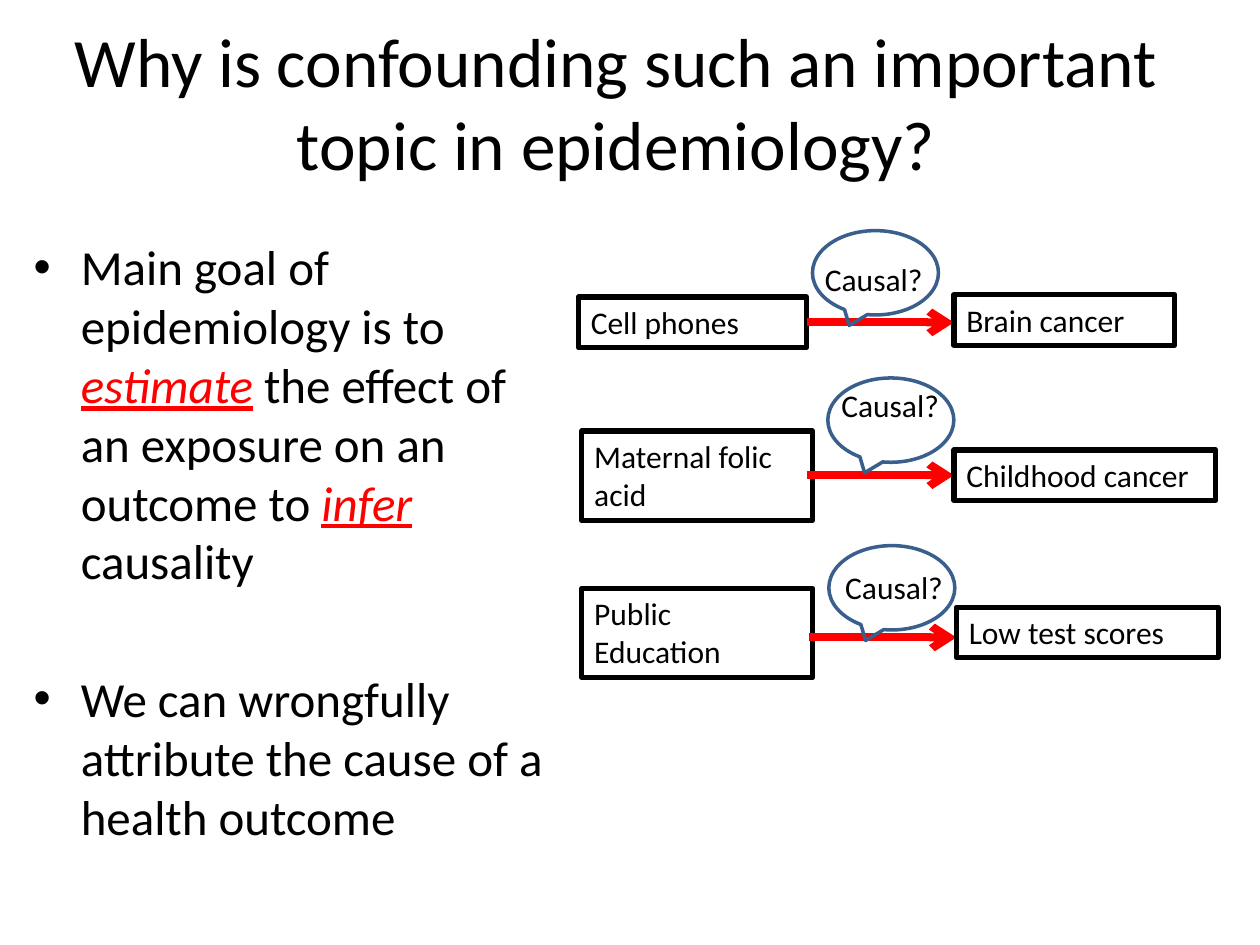
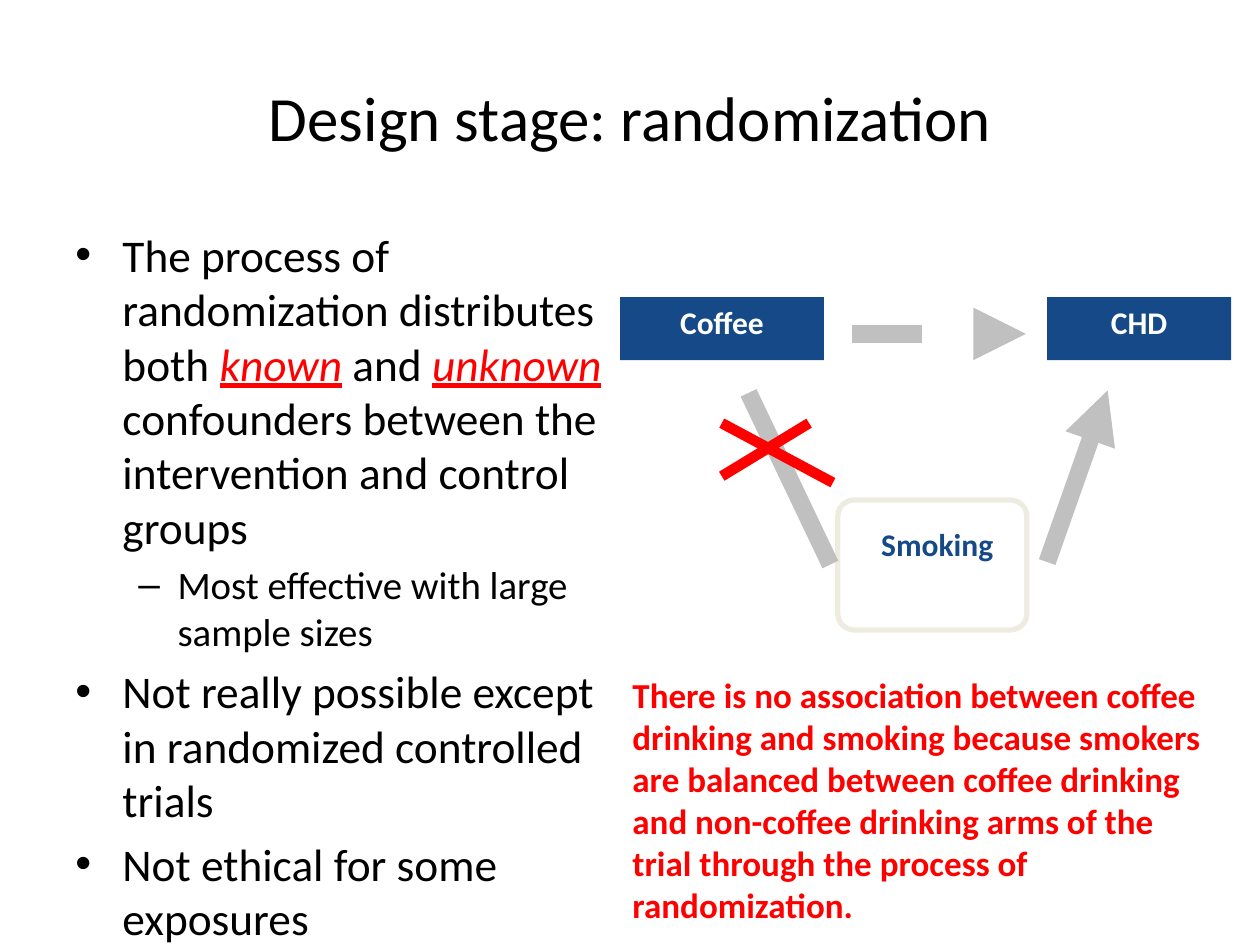
import pptx
import pptx.dml.color
import pptx.enum.dml
import pptx.enum.shapes
import pptx.enum.text
import pptx.oxml.ns
import pptx.util
from lxml import etree
from pptx.util import Cm, Pt

FONT = "Calibri"
COLORS = {
    "text": "000000",
    "accent": "FF0000",
    "callout": "3A5F8C",
    "navy": "154987",
    "arrow": "C0C0C0",
    "cream": "EEECE1",
    "white": "FFFFFF",
}
# Bullet character, left margin and hanging indent (cm) for each level
BULLETS = [("•", 0.95, 0.95), ("–", 2.06, 0.79)]
EMPHASIS = {"color": "accent", "italic": True, "underline": True}

SHAPES = pptx.enum.shapes.MSO_SHAPE
ALIGN = pptx.enum.text.PP_ALIGN
ANCHOR = pptx.enum.text.MSO_ANCHOR


def rgb(name):
    return pptx.dml.color.RGBColor.from_string(COLORS[name])


def add_xml(parent, tag, **attributes):
    return etree.SubElement(parent, pptx.oxml.ns.qn(tag), attributes)


class Deck:
    def __init__(self):
        self.presentation = pptx.Presentation()
        self.presentation.slide_width = Cm(25.4)
        self.presentation.slide_height = Cm(19.05)
        self.slide = None

    def new_slide(self, title, left, top, size):
        layout = self.presentation.slide_layouts[5]
        self.slide = self.presentation.slides.add_slide(layout)
        heading = self.slide.shapes.title
        heading.left, heading.top = Cm(left), Cm(top)
        heading.width, heading.height = Cm(22.86), Cm(3.18)
        frame = heading.text_frame
        frame.auto_size = pptx.enum.text.MSO_AUTO_SIZE.NONE
        frame.vertical_anchor = ANCHOR.MIDDLE
        frame.paragraphs[0].alignment = ALIGN.CENTER
        self.run(frame.paragraphs[0], title, size)

    def run(self, paragraph, text, size, color="text", bold=False, italic=False,
            underline=False):
        run = paragraph.add_run()
        run.text = text
        font = run.font
        font.name, font.size = FONT, Pt(size)
        font.bold, font.italic, font.underline = bold, italic, underline
        font.color.rgb = rgb(color)

    def bullets(self, left, top, width, height, items):
        """Add items of (level, size, space before in points, runs)."""
        box = self.slide.shapes.add_textbox(Cm(left), Cm(top), Cm(width), Cm(height))
        frame = box.text_frame
        frame.word_wrap = True
        for index, (level, size, space, runs) in enumerate(items):
            paragraph = frame.add_paragraph() if index else frame.paragraphs[0]
            paragraph.level = level
            mark, margin, hanging = BULLETS[level]
            properties = paragraph._p.get_or_add_pPr()
            properties.set("marL", str(Cm(margin)))
            properties.set("indent", str(-Cm(hanging)))
            add_xml(properties, "a:buFont", typeface="Arial")
            add_xml(properties, "a:buChar", char=mark)
            paragraph.space_before = Pt(space)
            for text, style in runs:
                self.run(paragraph, text, size, **style)

    def label(self, text, left, top, width, height, size=18, align=ALIGN.LEFT,
              wrap=True, **style):
        box = self.slide.shapes.add_textbox(Cm(left), Cm(top), Cm(width), Cm(height))
        box.text_frame.word_wrap = wrap
        paragraph = box.text_frame.paragraphs[0]
        paragraph.alignment = align
        self.run(paragraph, text, size, **style)

    def shape(self, kind, left, top, width, height, fill=None, line=None, weight=3,
              text="", align=ALIGN.LEFT, **style):
        shape = self.slide.shapes.add_shape(
            kind, Cm(left), Cm(top), Cm(width), Cm(height))
        shape.shadow.inherit = False
        if fill:
            shape.fill.solid()
            shape.fill.fore_color.rgb = rgb(fill)
        else:
            shape.fill.background()
        if line:
            shape.line.color.rgb = rgb(line)
            shape.line.width = Pt(weight)
        else:
            shape.line.fill.background()
        if text:
            frame = shape.text_frame
            frame.word_wrap = True
            frame.vertical_anchor = ANCHOR.TOP
            frame.paragraphs[0].alignment = align
            self.run(frame.paragraphs[0], text, 18, **style)
        return shape

    def line(self, start, end, color, weight, head=None, dashed=False):
        line = self.slide.shapes.add_connector(
            pptx.enum.shapes.MSO_CONNECTOR.STRAIGHT,
            *(Cm(value) for value in (*start, *end)))
        line.line.color.rgb = rgb(color)
        line.line.width = Pt(weight)
        if dashed:
            line.line.dash_style = pptx.enum.dml.MSO_LINE.DASH
        if head:
            add_xml(line.line._get_or_add_ln(), "a:tailEnd", type=head)
        add_xml(line._element.spPr, "a:effectLst")


def build_importance(deck):
    deck.new_slide("Why is confounding such an important topic in epidemiology?",
                   0.99, 0.46, 39.6)
    deck.bullets(0.43, 4.65, 11.23, 13.77, [
        (0, 28, 0, [
            ("Main goal of epidemiology is to ", {}),
            ("estimate", EMPHASIS),
            (" the effect of an exposure on an outcome to ", {}),
            ("infer", EMPHASIS),
            (" causality", {}),
        ]),
        (0, 28, 45, [("We can wrongfully attribute the cause of a health outcome", {})]),
    ])
    # Exposure box, outcome box, arrow height, callout corner, question corner
    questions = [
        ("Cell phones", (11.66, 5.99, 4.6, 1.02),
         "Brain cancer", (19.23, 5.94, 4.45, 1.02), 6.5, (16.38, 4.65), (16.38, 5.11)),
        ("Maternal folic acid", (11.73, 8.69, 4.65, 1.8),
         "Childhood cancer", (19.23, 9.07, 5.28, 1.02), 9.58, (16.69, 7.62), (16.71, 7.65)),
        ("Public Education", (11.73, 11.86, 4.65, 1.8),
         "Low test scores", (19.28, 12.24, 5.28, 1.02), 12.85, (16.71, 11), (16.79, 11.33)),
    ]
    for exposure, cause, outcome, effect, arrow_y, callout, question in questions:
        deck.shape(SHAPES.RECTANGLE, *cause, line="text", text=exposure)
        deck.line((effect[0] - 2.97, arrow_y), (effect[0], arrow_y), "accent", 4.5, "arrow")
        deck.shape(SHAPES.RECTANGLE, *effect, line="text", text=outcome)
        deck.shape(SHAPES.OVAL_CALLOUT, *callout, 2.54, 1.7, line="callout", weight=2)
        deck.label("Causal?", *question, 2.51, 1.02, wrap=False)


def build_randomization(deck):
    deck.new_slide("Design stage: randomization", 1.27, 0.76, 36)
    deck.bullets(1.27, 4.45, 11.23, 12.57, [
        (0, 25.9, 0, [
            ("The process of randomization distributes both ", {}),
            ("known", EMPHASIS),
            (" and ", {}),
            ("unknown", EMPHASIS),
            (" confounders between the intervention and control groups", {}),
        ]),
        (1, 22.2, 4.4, [("Most effective with large sample sizes", {})]),
        (0, 25.9, 5.2, [("Not really possible except in randomized controlled trials", {})]),
        (0, 25.9, 5.2, [("Not ethical for some exposures", {})]),
    ])
    for factor, left, width in (("Coffee", 12.5, 4.11), ("CHD", 21.11, 3.71)):
        deck.shape(SHAPES.RECTANGLE, left, 5.99, width, 1.27, fill="navy", text=factor,
                   align=ALIGN.CENTER, color="white", bold=True)
    deck.line((17.17, 6.73), (20.68, 6.73), "arrow", 10, "triangle", dashed=True)

    confounder = deck.shape(SHAPES.ROUNDED_RECTANGLE, 16.89, 10.08, 3.81, 2.62, line="cream")
    confounder.adjustments[0] = 0.125
    deck.label("Smoking", 17.27, 10.46, 3.25, 1.27, align=ALIGN.CENTER,
               color="navy", bold=True)
    deck.line((16.74, 11.38), (15.09, 7.92), "arrow", 10)
    deck.line((21.11, 11.33), (22.33, 7.87), "arrow", 10, "triangle")

    # Cross over the broken link
    deck.line((16.31, 8.53), (14.55, 9.6), "accent", 6)
    deck.line((14.55, 8.53), (16.79, 9.73), "accent", 6)
    deck.label("There is no association between coffee drinking and smoking because "
               "smokers are balanced between coffee drinking and non-coffee drinking "
               "arms of the trial through the process of randomization.",
               12.5, 13.46, 12.32, 5.38, size=20, color="accent", bold=True)


def main():
    deck = Deck()
    build_importance(deck)
    build_randomization(deck)
    deck.presentation.save("out.pptx")


if __name__ == "__main__":
    main()
